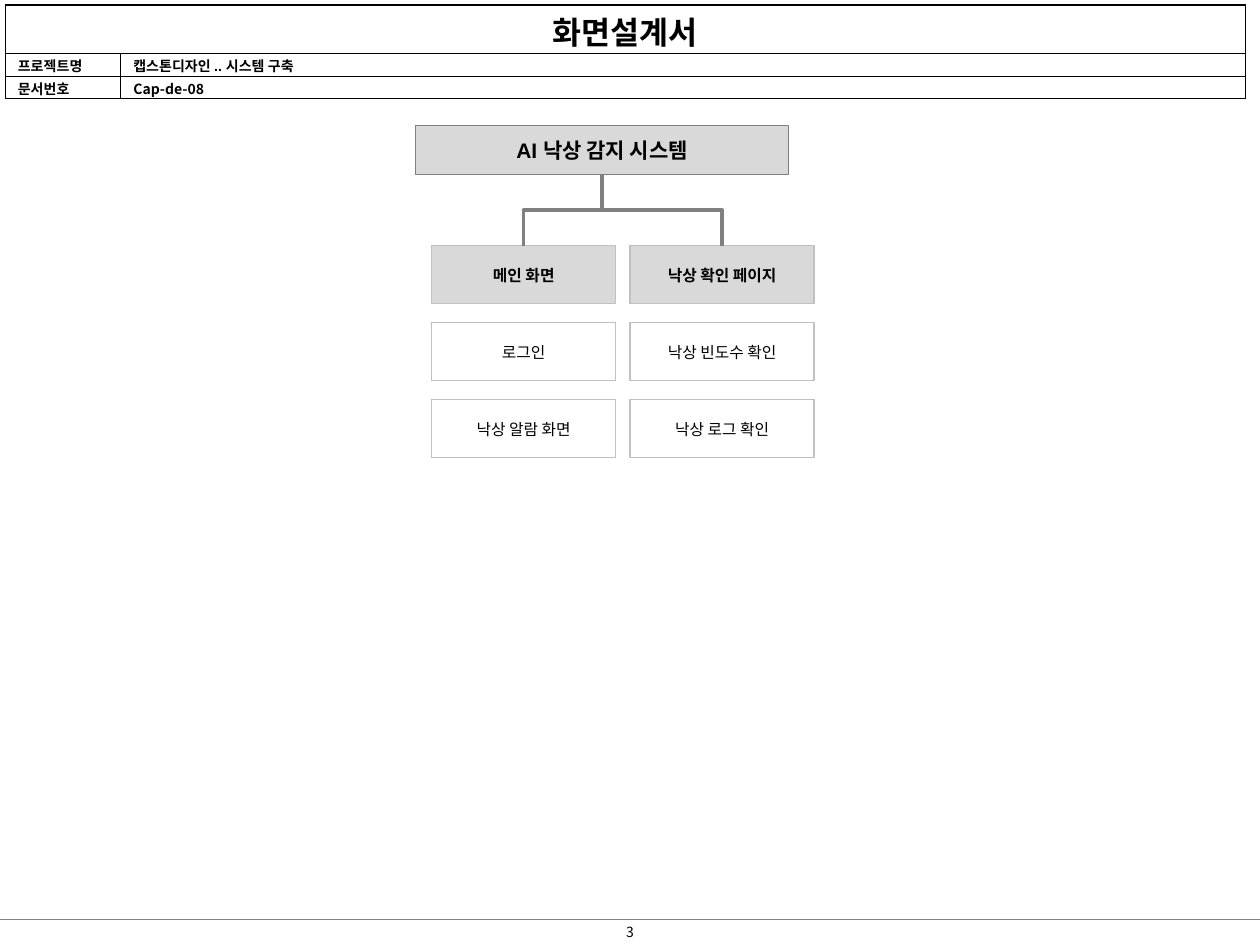
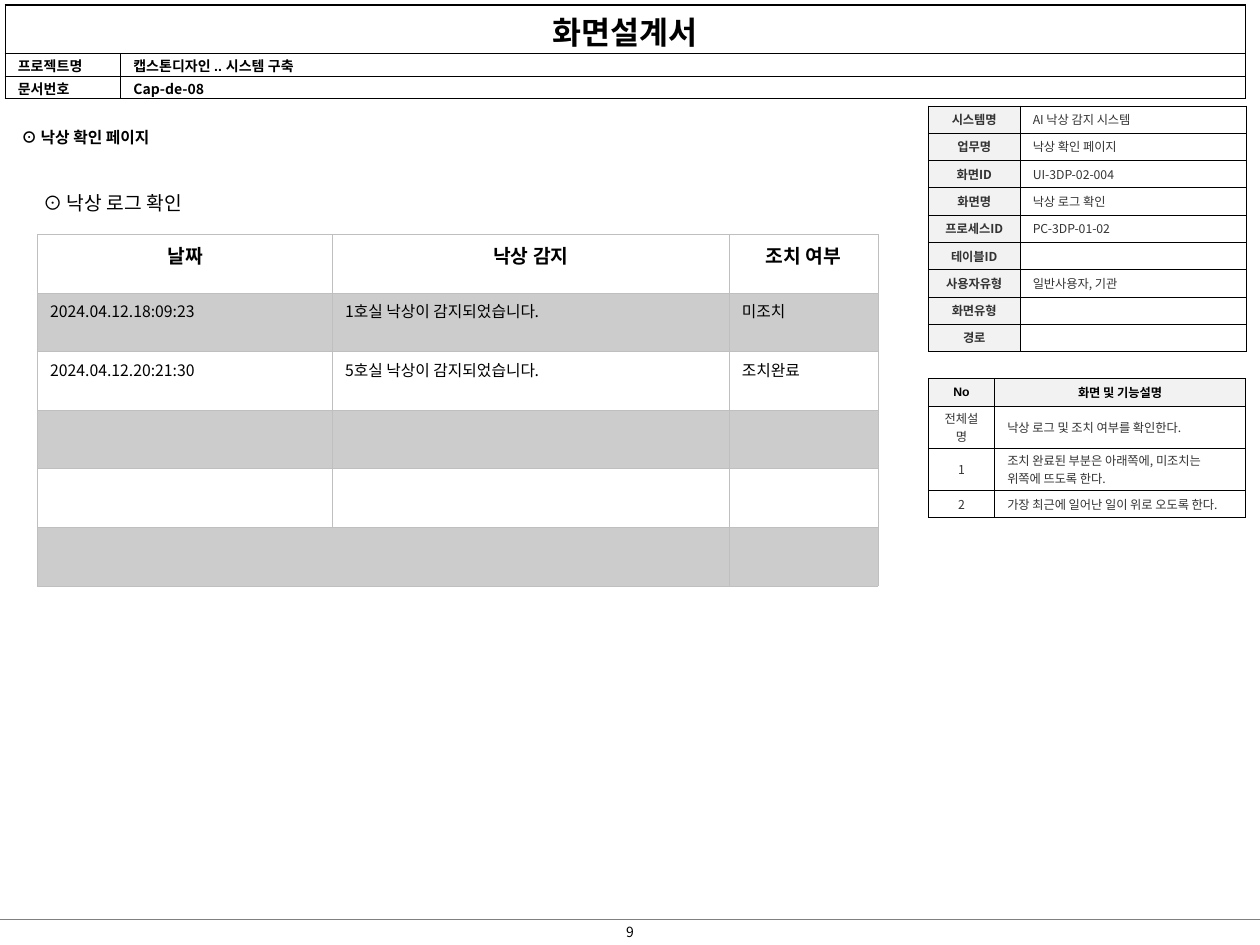
from dataclasses import dataclass

from pptx import Presentation
from pptx.dml.color import RGBColor
from pptx.enum.shapes import MSO_CONNECTOR as Connector, MSO_SHAPE as Shape
from pptx.enum.text import MSO_ANCHOR as Anchor, MSO_AUTO_SIZE as AutoSize, PP_ALIGN as Align
from pptx.oxml.ns import qn
from pptx.util import Pt
from lxml.etree import SubElement


@dataclass(frozen=True)
class Theme:
    font: str = "Noto Sans CJK KR"
    latin: str = "Arial"
    ink: str = "000000"
    soft_ink: str = "333333"
    paper: str = "FFFFFF"
    label: str = "F2F2F2"
    stripe: str = "CCCCCC"
    head: str = "D9D9D9"
    rule: str = "808080"
    box_line: str = "C0C0C0"
    grid: str = "BFBFBF"
    document: int = 18
    root: int = 12
    section: int = 11
    body: int = 9
    meta: int = 8
    note: int = 7


THEME = Theme()
WIDTH, HEIGHT = 720, 540

DOCUMENT_TITLE = "화면설계서"
DOCUMENT_META = [("프로젝트명", "캡스톤디자인 .. 시스템 구축"), ("문서번호", "Cap-de-08")]

SYSTEM = "AI 낙상 감지 시스템"
SCREENS = [
    ("메인 화면", ["로그인", "낙상 알람 화면"]),
    ("낙상 확인 페이지", ["낙상 빈도수 확인", "낙상 로그 확인"]),
]

PAGE_HEADING = "⊙ 낙상 확인 페이지"
LOG_HEADING = "⊙ 낙상 로그 확인"
LOG = [
    ("날짜", "낙상 감지", "조치 여부"),
    ("2024.04.12.18:09:23", "1호실 낙상이 감지되었습니다.", "미조치"),
    ("2024.04.12.20:21:30", "5호실 낙상이 감지되었습니다.", "조치완료"),
    ("", "", ""),
    ("", "", ""),
    ("", "", ""),
]
SCREEN_INFO = [
    ("시스템명", "AI 낙상 감지 시스템"),
    ("업무명", "낙상 확인 페이지"),
    ("화면ID", "UI-3DP-02-004"),
    ("화면명", "낙상 로그 확인"),
    ("프로세스ID", "PC-3DP-01-02"),
    ("테이블ID", ""),
    ("사용자유형", "일반사용자, 기관"),
    ("화면유형", ""),
    ("경로", ""),
]
FUNCTIONS = [
    ("No", "화면 및 기능설명"),
    ("전체설명", "낙상 로그 및 조치 여부를 확인한다."),
    ("1", "조치 완료된 부분은 아래쪽에, 미조치는 위쪽에 뜨도록 한다."),
    ("2", "가장 최근에 일어난 일이 위로 오도록 한다."),
]


def rgb(color):
    return RGBColor.from_string(color)


def write(frame, text, size=THEME.body, font=THEME.font, color=THEME.ink,
          bold=False, align=Align.LEFT):
    """Fill the first paragraph; an empty one still keeps its type size."""
    para = frame.paragraphs[0]
    para.alignment = align
    if not text:
        SubElement(para._p, qn("a:endParaRPr"), sz=str(size * 100))
        return
    span = para.add_run()
    span.text = text
    span.font.size = Pt(size)
    span.font.name = font
    span.font.bold = bold
    span.font.color.rgb = rgb(color)
    SubElement(span.font._element, qn("a:ea"), typeface=THEME.font)


def add_text(page, text, left, top, width, height, **style):
    box = page.shapes.add_textbox(Pt(left), Pt(top), Pt(width), Pt(height))
    box.text_frame.word_wrap = True
    write(box.text_frame, text, **style)


def add_line(page, kind, color, weight, *ends):
    line = page.shapes.add_connector(kind, *map(Pt, ends))
    line.line.color.rgb = rgb(color)
    line.line.width = Pt(weight)
    SubElement(line._element.spPr, qn("a:effectLst"))
    return line


def add_box(page, text, left, top, width, height, fill, line, **style):
    box = page.shapes.add_shape(Shape.RECTANGLE, Pt(left), Pt(top), Pt(width), Pt(height))
    box.shadow.inherit = False
    box.fill.solid()
    box.fill.fore_color.rgb = rgb(fill)
    box.line.color.rgb = rgb(line)
    box.line.width = Pt(0.75)
    box.text_frame.word_wrap = False
    box.text_frame.vertical_anchor = Anchor.MIDDLE
    write(box.text_frame, text, align=Align.CENTER, **style)
    return box


def draw_border(cell, color, **widths):
    for side, width in widths.items():
        line = SubElement(cell._tc.get_or_add_tcPr(), qn(f"a:ln{side}"), w=str(Pt(width)))
        SubElement(SubElement(line, qn("a:solidFill")), qn("a:srgbClr"), val=color)


def add_table(page, rows, left, top, columns, heights, style_of, merge=None,
              line=THEME.ink, weight=0.25, edge=0.25, anchor=Anchor.MIDDLE, pad=(1, 1)):
    """Draw rows; style_of(row, column) gives a cell's fill and its text format."""
    table = page.shapes.add_table(len(rows), len(columns), Pt(left), Pt(top),
                                  Pt(sum(columns)), Pt(sum(heights))).table
    table.first_row = table.horz_banding = False
    for column, width in zip(table.columns, columns):
        column.width = Pt(width)
    for row, height in zip(table.rows, heights):
        row.height = Pt(height)
    if merge is not None:
        table.cell(merge, 0).merge(table.cell(merge, 1))
    for r, texts in enumerate(rows):
        for c, text in enumerate(texts):
            cell = table.cell(r, c)
            is_last = c + cell.span_width == len(columns)
            draw_border(cell, line, L=weight if c else edge, R=edge if is_last else weight,
                        T=weight if r else edge, B=weight)
            fill, style = style_of(r, c)
            cell.fill.solid()
            cell.fill.fore_color.rgb = rgb(fill)
            cell.vertical_anchor = anchor
            cell.margin_top, cell.margin_bottom = map(Pt, pad)
            write(cell.text_frame, text, **style)


def header_style(row, column):
    if row == 0:
        return THEME.paper, dict(size=THEME.document, bold=True, align=Align.CENTER)
    font = THEME.font if (row, column) == (2, 1) else THEME.latin
    return THEME.paper, dict(size=THEME.meta, bold=True, font=font)


def info_style(row, column):
    is_label = column == 0
    return (THEME.label if is_label else THEME.paper,
            dict(size=THEME.note, color=THEME.soft_ink, bold=is_label,
                 align=Align.CENTER if is_label else Align.LEFT))


def function_style(row, column):
    if row == 0:
        return THEME.label, dict(size=THEME.note, font=THEME.latin, bold=True,
                                 align=Align.CENTER)
    return THEME.paper, dict(size=THEME.note, color=THEME.soft_ink,
                             align=Align.LEFT if column else Align.CENTER)


def log_style(row, column):
    if row == 0:
        return THEME.paper, dict(size=THEME.section, bold=True, align=Align.CENTER)
    return THEME.stripe if row % 2 else THEME.paper, {}


def add_page(deck, layout, number):
    """Add a slide with the document header, footer rule and page number."""
    page = deck.slides.add_slide(deck.slide_layouts.get_by_name(layout))
    add_line(page, Connector.STRAIGHT, THEME.rule, 0.75, 0, 525.6, WIDTH, 525.6)
    add_text(page, str(number), 340, 524, 40, 17, size=THEME.meta, align=Align.CENTER)
    add_table(page, [(DOCUMENT_TITLE, "")] + DOCUMENT_META, 3, 2.8, (66, 642.6),
              (28, 12.6, 12.6), header_style, merge=0, weight=0.5, edge=1, pad=(1, 0))
    return page


def join_down(page, parent, child):
    """Bend a connector from the bottom of parent to the top of child."""
    start_x, start_y = parent.left + parent.width // 2, parent.top + parent.height
    end_x, end_y = child.left + child.width // 2, child.top
    drop, shift = end_y - start_y, abs(end_x - start_x)
    goes_right = end_x > start_x
    line = add_line(page, Connector.ELBOW, THEME.rule, 2, 0, 0, 1, 1)
    line.begin_connect(parent, 2)
    line.end_connect(child, 0)
    line.left = (start_x + end_x - drop) // 2
    line.top = (start_y + end_y - shift) // 2
    line.width, line.height = drop, shift
    frame = line._element.spPr.find(qn("a:xfrm"))
    frame.set("rot", str((270 if goes_right else 90) * 60000))
    frame.set("flipH", str(int(goes_right)))
    frame.set("flipV", "0")


def build_screen_map(deck):
    page = add_page(deck, "Blank", 3)
    left, top, width, height = 246.6, 140.4, 105.2, 33.2
    column_step, row_step = 113.4, 44
    root = add_box(page, SYSTEM, 237.5, 71.6, 213.2, 28, THEME.head, THEME.rule,
                   size=THEME.root, font=THEME.latin, bold=True)
    for c, (screen, parts) in enumerate(SCREENS):
        x = left + c * column_step
        head = add_box(page, screen, x, top, width, height, THEME.head, THEME.box_line,
                       bold=True)
        join_down(page, root, head)
        for r, part in enumerate(parts, 1):
            add_box(page, part, x, top + r * row_step, width, height,
                    THEME.paper, THEME.box_line)


def build_log_screen(deck):
    page = add_page(deck, "Title Only", 9)
    title = page.shapes.title
    title.left, title.top, title.width, title.height = map(Pt, (5, 69.6, 100, 18))
    title.text_frame.auto_size = AutoSize.NONE
    title.text_frame.vertical_anchor = Anchor.TOP
    write(title.text_frame, PAGE_HEADING, bold=True)
    add_text(page, LOG_HEADING, 17.6, 106, 110, 21, size=THEME.section)
    add_table(page, LOG, 21.5, 134, (168.5, 226.8, 85), [33.45] * len(LOG), log_style,
              merge=len(LOG) - 1, line=THEME.grid, anchor=Anchor.TOP, pad=(3.6, 3.6))
    add_table(page, SCREEN_INFO, 530.4, 60.4, (52.6, 129.4), [15.6] * len(SCREEN_INFO),
              info_style)
    add_table(page, FUNCTIONS, 530.4, 216.2, (38, 143.3), (16, 24, 24, 15.6), function_style)


def main():
    deck = Presentation()
    deck.slide_width, deck.slide_height = Pt(WIDTH), Pt(HEIGHT)
    build_screen_map(deck)
    build_log_screen(deck)
    deck.save("out.pptx")


if __name__ == "__main__":
    main()
